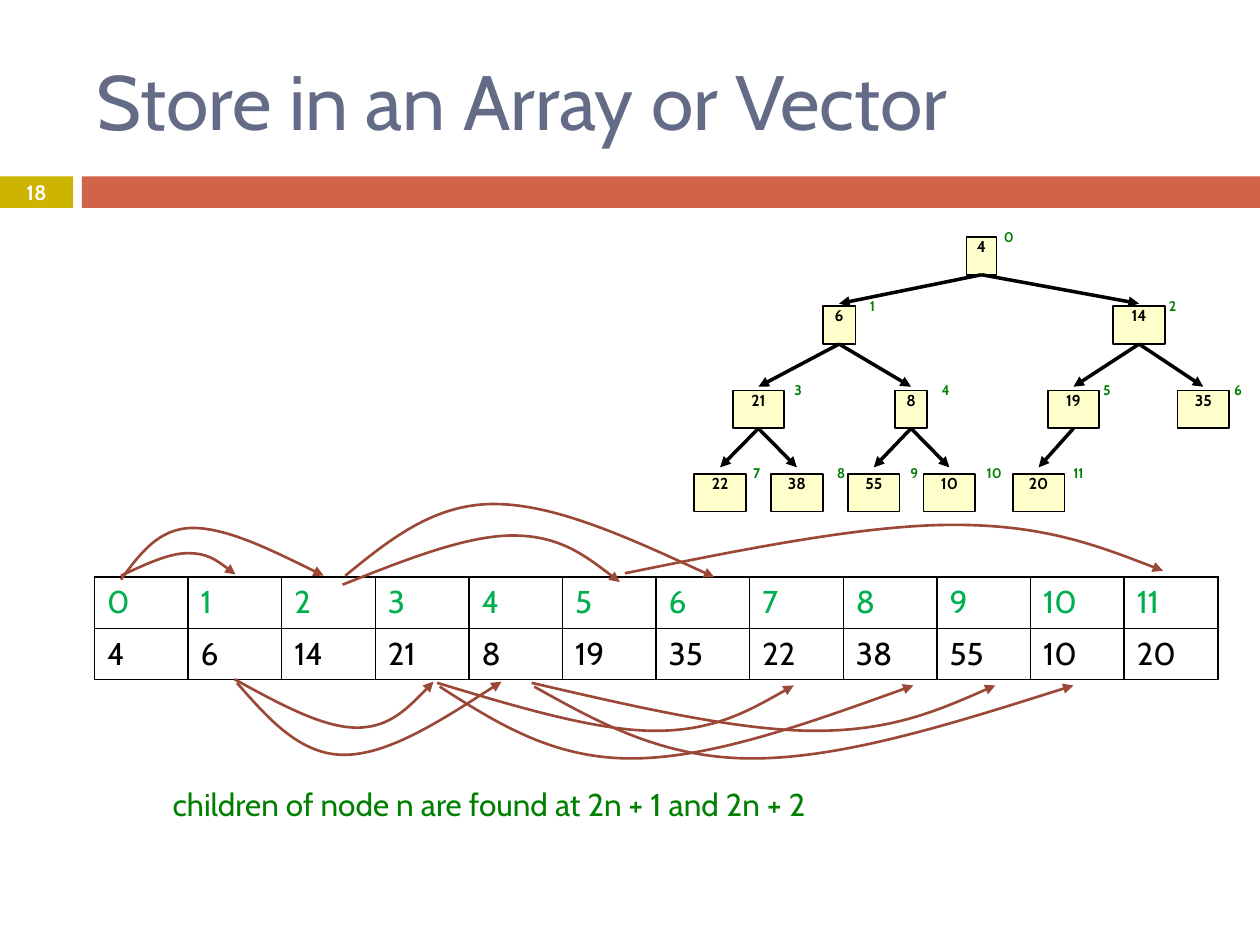
from lxml.etree import SubElement
from pptx import Presentation
from pptx.dml.color import RGBColor
from pptx.enum.shapes import MSO_CONNECTOR, MSO_SHAPE
from pptx.enum.text import MSO_ANCHOR, PP_ALIGN
from pptx.oxml.ns import qn
from pptx.util import Pt

INK = {"title": "646B86", "gold": "CCB400", "rust": "D16349", "arc": "9B4936",
       "index": "00B050", "green": "008000", "box": "FFFFCC",
       "black": "000000", "white": "FFFFFF"}
TITLE = "Store in an Array or Vector"
PAGE = "18"
NOTE = "children of node n are found at 2n + 1 and 2n + 2"
HEAP = [4, 6, 14, 21, 8, 19, 35, 22, 38, 55, 10, 20]
MID = [560.9, 479.5, 650.9, 433.4, 520.6, 613.4, 687.6,
       411.5, 455.4, 499.3, 542.5, 593.5]
TAG = [571, 493.2, 664.6, 450.7, 535, 627.1, 702,
       427, 475.2, 517, 560.2, 608.4]
TOP = [135.4, 175, 223.2, 270.7]
TIP = [0, 173.5, 221, 267.1]
TALL = 21.6
ARCS = [
    ((69.1, 329), (96.5, 107.3, 118.8), 316.1, (134.6, 328.3)),
    ((69.1, 331.2), (90.7, 110.2, 129.6), 301.7, (185, 329)),
    ((133.9, 388.1), (184.3, 203.8, 222.5), 415.8, (247.7, 389.5)),
    ((135.4, 390.2), (171.4, 196.6, 221.8), 431.3, (286.6, 389.5)),
    ((195.8, 334.1), (266.4, 293, 319.7), 306, (354.2, 332.6)),
    ((197.3, 329), (247.7, 282.2, 317.5), 288, (408.2, 329.8)),
    ((249.8, 390.2), (340.6, 374.4, 408.2), 417.6, (453.6, 391.7)),
    ((251.3, 392.4), (315.4, 360.7, 406.1), 433.4, (522, 391.7)),
    ((303.8, 390.2), (421.9, 465.8, 509.8), 417.6, (568.8, 391.7)),
    ((305.3, 392.4), (378.7, 429.8, 481.7), 433.4, (613.4, 391.7)),
    ((357.1, 327.6), (493.9, 545, 596.9), 299.9, (664.6, 326.2)),
]

deck = Presentation()
deck.slide_width, deck.slide_height = Pt(720), Pt(540)
slide = deck.slides.add_slide(deck.slide_layouts[6])
shapes = slide.shapes


def rgb(name):
    return RGBColor.from_string(INK[name])


def apply(item, **form):
    for key, value in form.items():
        setattr(item, key, value)


def write(frame, text, size, ink, bold=False, align=PP_ALIGN.LEFT):
    para = frame.paragraphs[0]
    para.alignment = align
    run = para.add_run()
    run.text = str(text)
    apply(run.font, name="Cabin", size=Pt(size), bold=bold)
    run.font.color.rgb = rgb(ink)


def label(spot, text, size, ink, inset=0, anchor=MSO_ANCHOR.TOP, wrap=True, **form):
    frame = shapes.add_textbox(*map(Pt, spot)).text_frame
    apply(frame, word_wrap=wrap, vertical_anchor=anchor,
          margin_left=Pt(inset), margin_right=Pt(inset),
          margin_top=0, margin_bottom=0)
    write(frame, text, size, ink, **form)


def block(spot, fill, edge=None):
    box = shapes.add_shape(MSO_SHAPE.RECTANGLE, *map(Pt, spot))
    box.shadow.inherit = False
    box.fill.solid()
    box.fill.fore_color.rgb = rgb(fill)
    if edge:
        box.line.color.rgb = rgb(edge)
        box.line.width = Pt(1)
    else:
        box.line.fill.background()
    return box


def point(line, ink, width):
    line.line.color.rgb = rgb(ink)
    line.line.width = Pt(width)
    SubElement(line.element.spPr.find(qn("a:ln")), qn("a:tailEnd"), type="triangle")


def half(a, b):
    return (a[0] + b[0]) / 2, (a[1] + b[1]) / 2


def arc(start, across, peak, end):
    rise, knot, fall = [(x, peak) for x in across]
    dots = [half(start, rise), rise, knot, fall, half(fall, end), end]
    pen = shapes.build_freeform(Pt(start[0]), Pt(start[1]))
    pen.add_line_segments([(Pt(x), Pt(y)) for x, y in dots], close=False)
    curve = pen.convert_to_shape()
    curve.shadow.inherit = False
    curve.fill.background()
    track = next(curve.element.iter(qn("a:path")))
    steps = track.findall(qn("a:lnTo"))
    for i in range(0, len(steps), 3):
        bend = SubElement(track, qn("a:cubicBezTo"))
        for step in steps[i:i + 3]:
            bend.append(step[0])
            track.remove(step)
    point(curve, "arc", 1.5)


def grid():
    table = shapes.add_table(2, len(HEAP), Pt(54), Pt(329.8), Pt(642), Pt(58.4)).table
    apply(table, first_row=False, horz_banding=False)
    for col in table.columns:
        col.width = Pt(53.5)
    for r, (row, ink) in enumerate(((range(len(HEAP)), "index"), (HEAP, "black"))):
        table.rows[r].height = Pt(29.2)
        for c, value in enumerate(row):
            cell = table.cell(r, c)
            write(cell.text_frame, value, 18, ink)
            props = cell._tc.get_or_add_tcPr()
            for side in ("lnL", "lnR", "lnT", "lnB"):
                rule = SubElement(props, qn("a:" + side), w=str(Pt(1)))
                fill = SubElement(rule, qn("a:solidFill"))
                SubElement(fill, qn("a:srgbClr"), val=INK["black"])
            cell.fill.background()


def node(n, value):
    level = (n + 1).bit_length() - 1
    wide = 29.5 if value > 9 else 18.7 if n else 17.3
    box = block((MID[n] - wide / 2, TOP[level], wide, TALL), "box", "black")
    frame = box.text_frame
    apply(frame, margin_left=0, margin_right=0, margin_top=0, margin_bottom=0,
          vertical_anchor=MSO_ANCHOR.TOP)
    write(frame, value, 9, "black", True, PP_ALIGN.CENTER)
    label((TAG[n], TOP[level] - 5, 10.8 if n < 10 else 15.8, 9.4), n, 8, "green",
          wrap=False, bold=True, align=PP_ALIGN.CENTER)


def edge(n):
    up = (n - 1) // 2
    level = (n + 1).bit_length() - 1
    ends = MID[up], TOP[level - 1] + TALL, MID[n], TIP[level]
    line = shapes.add_connector(MSO_CONNECTOR.STRAIGHT, *map(Pt, ends))
    point(line, "black", 2)
    SubElement(line.element.spPr, qn("a:effectLst"))


block((0, 100.8, 41.8, 18), "gold")
block((46.8, 100.8, 673.2, 18), "rust")
label((48.2, 18, 642.2, 77.8), TITLE, 44, "title", 7.2, MSO_ANCHOR.MIDDLE)
label((0, 100.1, 41.8, 19.4), PAGE, 11.9, "white", anchor=MSO_ANCHOR.MIDDLE,
      bold=True, align=PP_ALIGN.CENTER)
grid()
for bow in ARCS:
    arc(*bow)
label((95.8, 448.6, 537.8, 35.3), NOTE, 18, "green", 2.9)
for n, value in enumerate(HEAP):
    node(n, value)
for n in range(1, len(HEAP)):
    edge(n)

deck.save("out.pptx")
